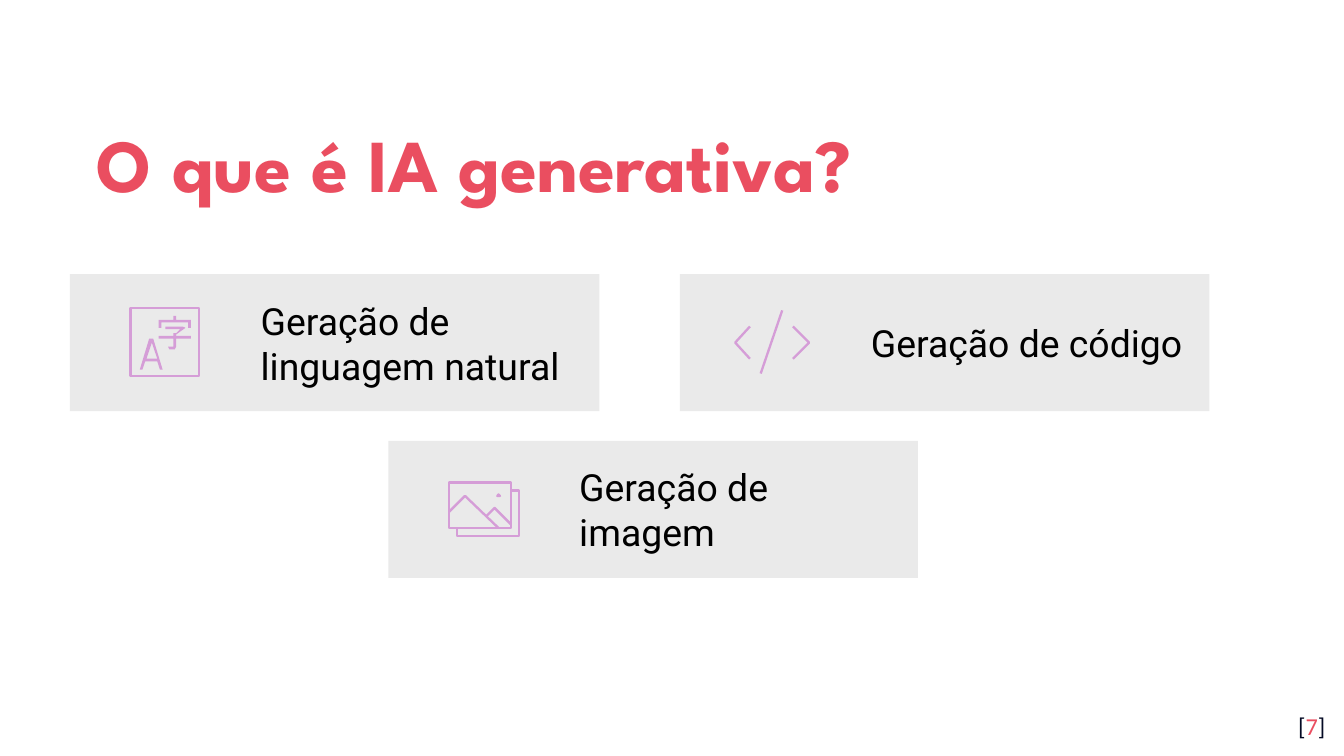
from pptx import Presentation
from pptx.dml.color import RGBColor
from pptx.enum.shapes import MSO_SHAPE as Shape
from pptx.enum.text import MSO_ANCHOR as Anchor, MSO_AUTO_SIZE as AutoSize, PP_ALIGN as Align
from pptx.util import Inches, Pt

COLORS = {
    "title": "EA4E60",
    "bracket": "040A24",
    "card": "EAEAEA",
    "text": "000000",
    "icon": "D59DD7",
}


def write(shape, runs, size, font, bold=False, align=Align.LEFT, anchor=Anchor.TOP,
          margins=(0.1, 0.1, 0.1, 0.1), line_spacing=1.0):
    frame = shape.text_frame
    frame.word_wrap = True
    frame.auto_size = AutoSize.NONE
    frame.vertical_anchor = anchor
    frame.margin_left, frame.margin_top, frame.margin_right, frame.margin_bottom = map(Inches, margins)
    paragraph = frame.paragraphs[0]
    paragraph.alignment = align
    paragraph.line_spacing = line_spacing
    for text, color in runs:
        run = paragraph.add_run()
        run.text = text
        run.font.name = font
        run.font.size = Pt(size)
        run.font.bold = bold
        run.font.color.rgb = RGBColor.from_string(COLORS[color])


def paint(shape, fill=None, line=None):
    shape.shadow.inherit = False
    if fill:
        shape.fill.solid()
        shape.fill.fore_color.rgb = RGBColor.from_string(COLORS[fill])
    else:
        shape.fill.background()
    if line:
        shape.line.color.rgb = RGBColor.from_string(COLORS[line])
        shape.line.width = Pt(1.25)
    else:
        shape.line.fill.background()


presentation = Presentation()
presentation.slide_width = Inches(10)
presentation.slide_height = Inches(10 * 9 / 16)
slide = presentation.slides.add_slide(presentation.slide_layouts[5])

title = slide.shapes.title
title.left, title.top, title.width, title.height = map(Inches, (0.62, 0.7, 8.77, 0.92))
write(title, [("O que é IA generativa?", "title")], size=40, font="League Spartan",
      bold=True, anchor=Anchor.MIDDLE, line_spacing=1.15)

page_number = slide.shapes.add_textbox(Inches(9.36), Inches(5.19), Inches(0.6), Inches(0.43))
write(page_number, [("[", "bracket"), ("7", "title"), ("]", "bracket")],
      size=13, font="Calibri", align=Align.RIGHT)

cards = [
    ("Geração de linguagem natural", 0.52, 2.04),
    ("Geração de imagem", 2.89, 3.28),
    ("Geração de código", 5.06, 2.04),
]
for text, left, top in cards:
    card = slide.shapes.add_shape(Shape.RECTANGLE, Inches(left), Inches(top), Inches(3.94), Inches(1.02))
    paint(card, fill="card")
    write(card, [(text, "text")], size=20, font="Roboto", anchor=Anchor.MIDDLE,
          margins=(1.42, 0.16, 0.2, 0.16))

code_icon = [
    (False, [(558, 267), (547, 255), (558, 243)]),
    (False, [(590, 267), (602, 255), (590, 243)]),
    (False, [(566, 278), (582, 231)]),
]
picture_icon = [
    (True, [(380, 393), (334, 393), (334, 359), (380, 359)]),
    (True, [(370, 369), (371, 369), (372, 369), (371, 368)]),
    (False, [(371, 393), (346, 369), (334, 381)]),
    (False, [(380, 390), (368, 378), (362, 384)]),
    (False, [(340, 393), (340, 399), (386, 399), (386, 365), (380, 365)]),
]
language_icon = [
    (True, [(111, 252), (104, 275), (106, 275), (108, 269), (117, 269), (119, 275),
            (121, 275), (114, 252)]),
    (True, [(109, 267), (113, 255), (117, 267)]),
    (True, [(118, 244), (118, 238), (129, 238), (129, 235), (131, 235), (131, 238), (142, 238),
            (142, 244), (140, 244), (140, 240), (120, 240), (120, 244)]),
    (True, [(131, 252), (131, 258), (130, 260), (126, 260), (125, 258), (129, 258), (129, 252),
            (118, 252), (118, 250), (129, 250), (129, 248), (131, 248), (134, 245), (123, 245),
            (123, 243), (136, 243), (138, 244), (131, 249), (131, 250), (142, 250), (142, 252)]),
]
icons = [
    (code_icon, {"line": "icon"}),
    (picture_icon, {"line": "icon"}),
    (language_icon, {"fill": "icon"}),
]
for contours, style in icons:
    first_point = contours[0][1][0]
    builder = slide.shapes.build_freeform(*first_point, scale=Inches(0.01))
    for index, (closed, points) in enumerate(contours):
        if index:
            builder.move_to(*points[0])
        builder.add_line_segments(points[1:], close=closed)
    paint(builder.convert_to_shape(), **style)

language_frame = slide.shapes.add_shape(Shape.RECTANGLE, Inches(0.97), Inches(2.29), Inches(0.51), Inches(0.51))
paint(language_frame, line="icon")

presentation.save("out.pptx")
